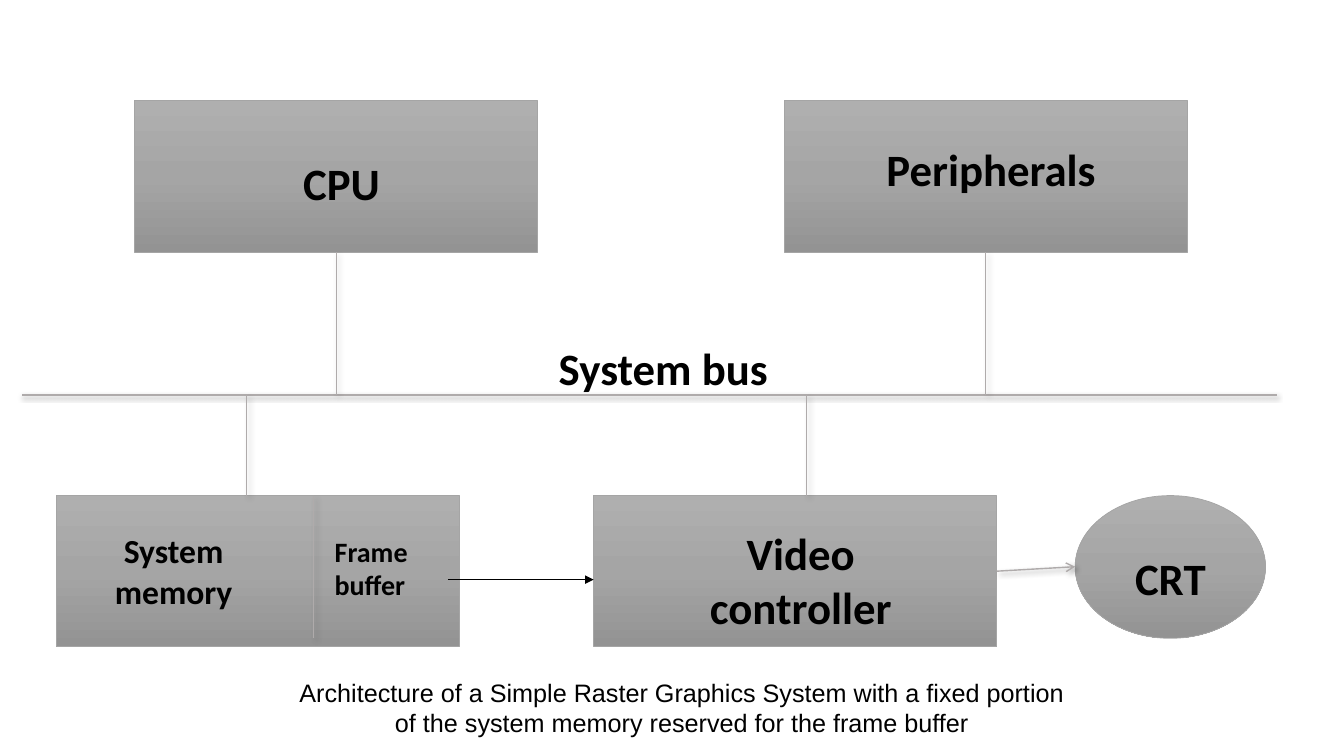
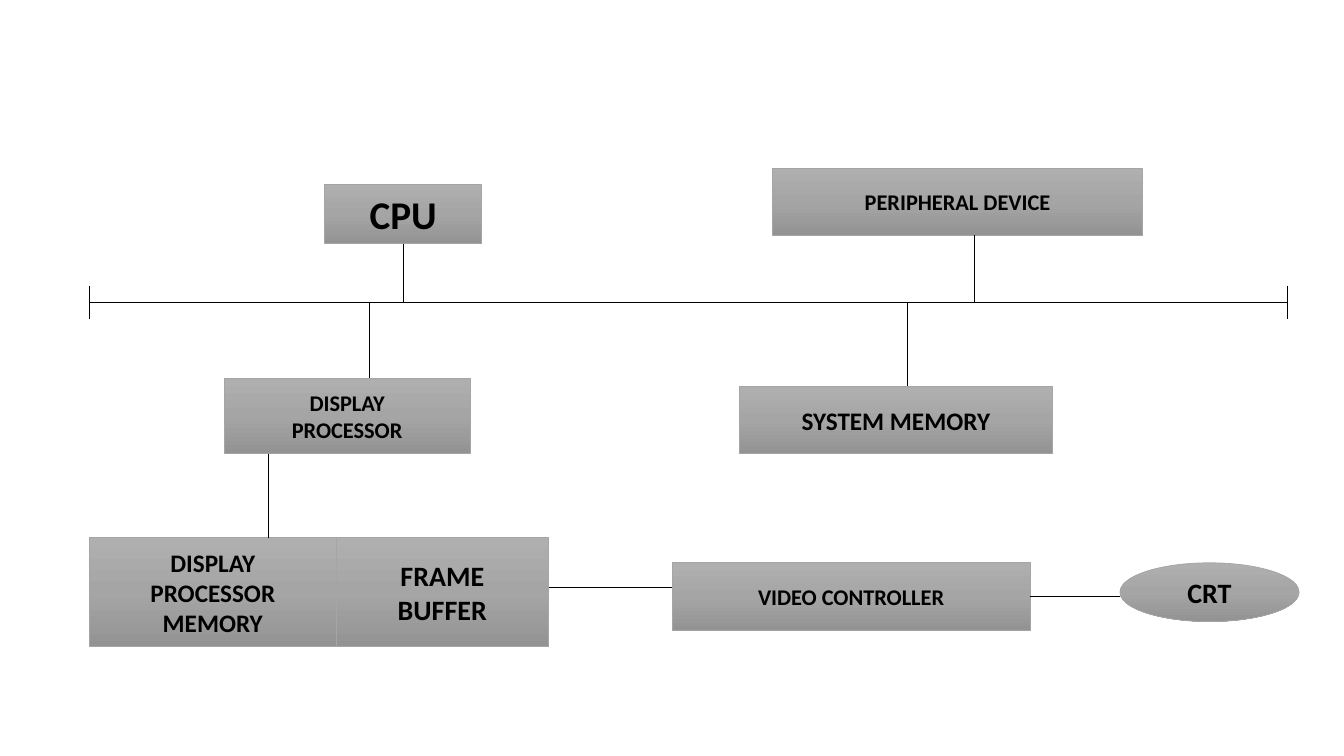
from copy import deepcopy

from lxml.etree import SubElement
from pptx import Presentation
from pptx.dml.color import RGBColor
from pptx.enum.shapes import MSO_CONNECTOR as Link, MSO_SHAPE as Shape
from pptx.enum.text import MSO_ANCHOR as Anchor, PP_ALIGN as Align
from pptx.oxml.ns import qn
from pptx.util import Emu, Pt

EMU_PER_PX = 5080
BLACK, WIRE_GREY, EDGE_GREY = "000000", "AFABAB", "A5A5A5"
BOX_GRADIENT = [(0, "AFAFAF"), (0.5, "A5A5A5"), (1, "939393")]
LABEL = {"name": "Calibri", "bold": True}
CAPTION = {"name": "Arial", "size": Pt(18), "bold": False}
# Shadows: opacity percent, blur and distance in points, direction in degrees
SOFT_SHADOW = (40, 4, 3, 45)
BUS_SHADOW = (35, 3.1, 1.8, 90)
BOTTOM, RIGHT = 2, 3


def px(*lengths):
    return [Emu(length * EMU_PER_PX) for length in lengths]


def color(hex_value):
    return RGBColor.from_string(hex_value)


def write(shape, text, font_format, align=Align.CENTER):
    """Put each line of text in its own paragraph."""
    frame = shape.text_frame
    frame.text = text
    for para in frame.paragraphs:
        para.alignment = align
        para.font.color.rgb = color(BLACK)
        for name, value in font_format.items():
            setattr(para.font, name, value)


def add_label(slide, text, at, size, align=Align.CENTER):
    box = slide.shapes.add_textbox(*px(*at))
    box.text_frame.word_wrap = True
    write(box, text, {**LABEL, "size": Pt(size)}, align)


def fill_gradient(shape):
    shape.fill.gradient()
    stops = shape.fill._xPr.find(".//" + qn("a:gsLst"))
    stops.append(deepcopy(stops[0]))
    for stop, (position, hex_value) in zip(shape.fill.gradient_stops, BOX_GRADIENT):
        stop.position = position
        stop.color.rgb = color(hex_value)
    shape.fill.gradient_angle = 270


def add_block(slide, at, text="", size=16, kind=Shape.RECTANGLE):
    block = slide.shapes.add_shape(kind, *px(*at))
    block.shadow.inherit = False
    fill_gradient(block)
    block.line.color.rgb = color(EDGE_GREY)
    block.line.width = Pt(0.5)
    if text:
        block.text_frame.word_wrap = False
        block.text_frame.vertical_anchor = Anchor.MIDDLE
        write(block, text, {**LABEL, "size": Pt(size)})
    return block


def set_shadow(wire, shadow):
    effects = SubElement(wire._element.spPr, qn("a:effectLst"))
    if shadow:
        opacity, blur, distance, direction = shadow
        outer = SubElement(effects, qn("a:outerShdw"), blurRad=str(Pt(blur)),
                           dist=str(Pt(distance)), dir=str(direction * 60000),
                           rotWithShape="0")
        shade = SubElement(outer, qn("a:srgbClr"), val=BLACK)
        SubElement(shade, qn("a:alpha"), val=str(opacity * 1000))


def add_wire(slide, ends, hex_value=BLACK, width=0.75, shadow=None, arrow=None, start=None):
    """Draw a line; start is an optional (block, side) that it is joined to."""
    wire = slide.shapes.add_connector(Link.STRAIGHT, *px(*ends))
    if start:
        wire.begin_connect(*start)
    wire.line.color.rgb = color(hex_value)
    wire.line.width = Pt(width)
    if arrow:
        SubElement(wire.line._get_or_add_ln(), qn("a:tailEnd"), type=arrow)
    set_shadow(wire, shadow)


def add_grey_wire(slide, ends, width=0.5, shadow=SOFT_SHADOW, **options):
    add_wire(slide, ends, WIRE_GREY, width, shadow, **options)


def build_fixed_buffer_slide(slide):
    bus, upper, lower = 705, 180, 885
    add_grey_wire(slide, (40, bus, 2280, bus), 1.5, BUS_SHADOW)
    cpu, peripherals, _, video = [
        add_block(slide, (left, top, 720, 270))
        for left, top in [(240, upper), (1400, upper), (100, lower), (1060, lower)]]
    add_block(slide, (1920, lower, 340, 255), kind=Shape.OVAL)

    for block, x in [(cpu, 600), (peripherals, 1760)]:
        add_grey_wire(slide, (x, 450, x, bus), start=(block, BOTTOM))
    for x in (440, 1440):
        add_grey_wire(slide, (x, bus, x, lower))
    add_grey_wire(slide, (1780, 1020, 1920, 1012), 1, arrow="arrow", start=(video, RIGHT))
    add_grey_wire(slide, (560, lower, 560, 1140))
    add_wire(slide, (800, 1035, 1060, 1035), arrow="triangle")

    for text, at, size in [
        ("CPU", (340, 270, 540, 115), 32),
        ("Peripherals", (1460, 245, 620, 115), 32),
        ("System memory", (140, 938, 340, 164), 24),
        ("Video controller", (1160, 930, 540, 212), 32),
        ("CRT", (1960, 975, 260, 115), 32),
    ]:
        add_label(slide, text, at, size)
    add_label(slide, "System bus", (980, 600, 420, 115), 32, Align.LEFT)
    add_label(slide, "Frame buffer", (580, 945, 260, 139), 20, Align.LEFT)

    caption = slide.shapes.add_textbox(*px(504, 1200, 1427, 128))
    caption.text_frame.word_wrap = False
    write(caption, "Architecture of a Simple Raster Graphics System with a fixed portion\n"
                   "of the system memory reserved for the frame buffer", CAPTION)


def build_display_processor_slide(slide):
    bus, bus_left, bus_right = 540, 160, 2300
    cpu = add_block(slide, (580, 330, 280, 105), "CPU", 28)
    video = add_block(slide, (1200, 1005, 640, 120), "VIDEO CONTROLLER")
    for at, text, size in [
        ((1380, 300, 660, 120), "PERIPHERAL DEVICE", 16),
        ((400, 675, 440, 135), "DISPLAY\nPROCESSOR", 16),
        ((1320, 690, 560, 120), "SYSTEM MEMORY", 18),
        ((160, 960, 440, 195), "DISPLAY\nPROCESSOR\nMEMORY", 18),
        ((600, 960, 380, 195), "FRAME\nBUFFER", 20),
    ]:
        add_block(slide, at, text, size)
    add_block(slide, (2000, 1005, 320, 105), "CRT", 20, Shape.OVAL)

    add_wire(slide, (bus_left, bus, bus_right, bus))
    for x in (bus_left, bus_right):
        add_wire(slide, (x, bus - 30, x, bus + 30))
    add_wire(slide, (720, 435, 720, bus), start=(cpu, BOTTOM))
    for x, top, bottom in [(1740, 420, bus), (660, bus, 675), (1620, bus, 690), (480, 810, 960)]:
        add_wire(slide, (x, top, x, bottom))
    add_wire(slide, (980, 1050, 1200, 1050))
    add_wire(slide, (1840, 1065, 2000, 1065), start=(video, RIGHT))


def main():
    deck = Presentation()
    deck.slide_width, deck.slide_height = px(2400, 1350)
    for build in (build_fixed_buffer_slide, build_display_processor_slide):
        build(deck.slides.add_slide(deck.slide_layouts[6]))
    deck.save("out.pptx")


if __name__ == "__main__":
    main()
